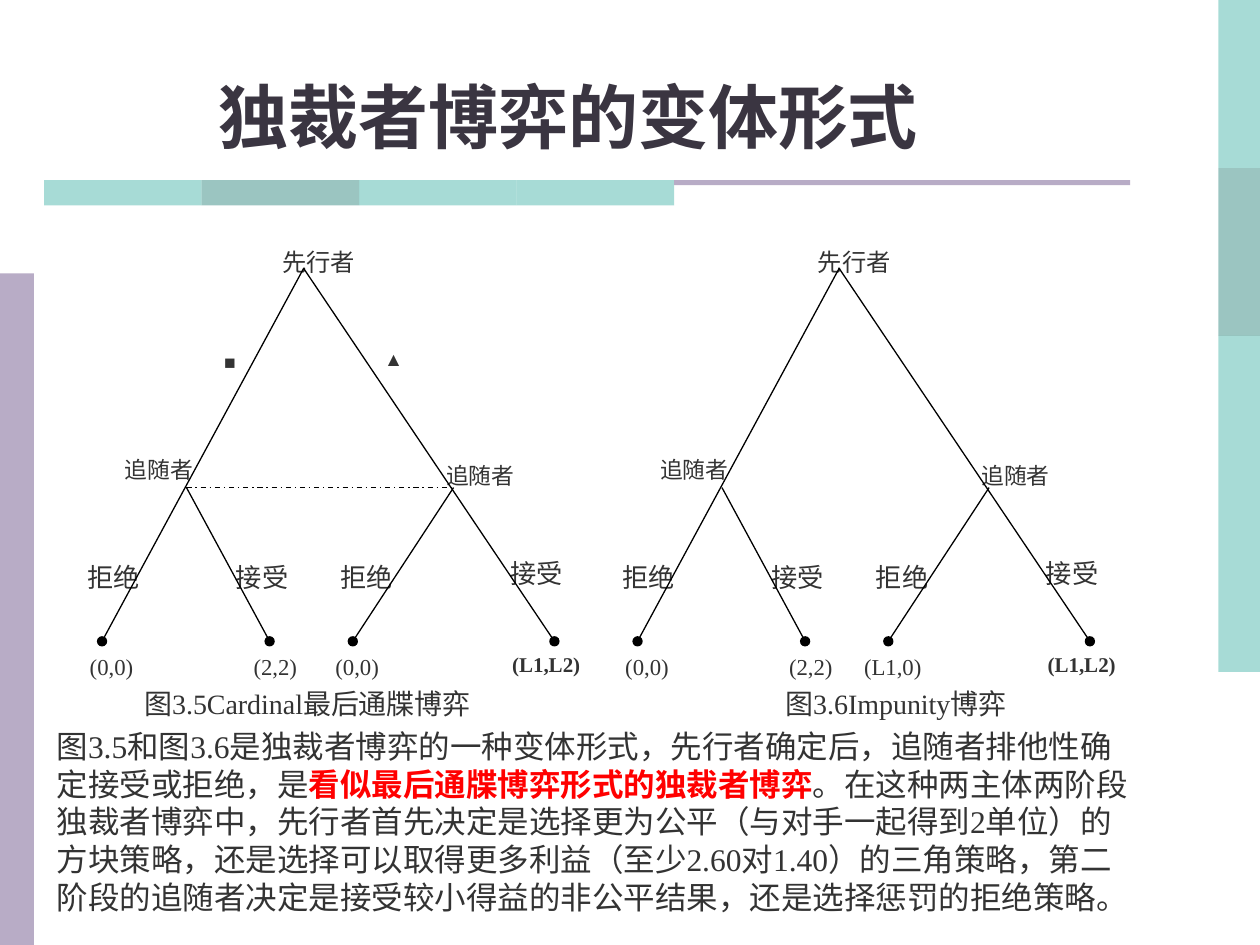
from lxml import etree
from pptx import Presentation
from pptx import util as u
from pptx.dml.color import RGBColor
from pptx.enum import dml, shapes, text
from pptx.oxml.ns import qn

Inches = u.Inches
FONT = "Times New Roman"
COLORS = {
    "teal": "51B9AF", "deep_teal": "398D85", "lilac": "B8ACC6",
    "title": "3A3541", "text": "333333", "accent": "FF0000",
    "line": "000000", "paper": "FFFFFF",
}
LEFT, CENTER = text.PP_ALIGN.LEFT, text.PP_ALIGN.CENTER
RIGHT, JUSTIFY = text.PP_ALIGN.RIGHT, text.PP_ALIGN.JUSTIFY
TOP, MIDDLE = text.MSO_ANCHOR.TOP, text.MSO_ANCHOR.MIDDLE


def rgb(name):
    return RGBColor.from_string(COLORS[name])


def style_run(r, size, color="text", bold=False):
    r.font.name = FONT
    r.font.size = u.Pt(size)
    r.font.bold = bold
    r.font.color.rgb = rgb(color)


def add_block(s, x, y, w, h, color, alpha=None):
    sp = s.shapes.add_shape(shapes.MSO_SHAPE.RECTANGLE,
                            Inches(x), Inches(y), Inches(w), Inches(h))
    sp.shadow.inherit = False
    sp.fill.solid()
    sp.fill.fore_color.rgb = rgb(color)
    sp.line.fill.background()
    if alpha:
        clr = sp.fill._xPr.find(qn("a:solidFill"))[0]
        etree.SubElement(clr, qn("a:alpha")).set("val", str(alpha * 1000))
    return sp


def add_text(s, x, y, w, h, runs, size, align=LEFT, anchor=TOP, wrap=True):
    tb = s.shapes.add_textbox(Inches(x), Inches(y), Inches(w), Inches(h))
    tf = tb.text_frame
    tf.word_wrap = wrap
    tf.vertical_anchor = anchor
    p = tf.paragraphs[0]
    p.alignment = align
    for words, color, bold in runs:
        r = p.add_run()
        r.text = words
        style_run(r, size, color, bold)


def add_label(s, x, y, w, h, words, size, align=CENTER, spacing=1.9, bold=False):
    sp = add_block(s, x, y, w, h, "paper")
    sp.line.color.rgb = rgb("paper")
    sp.line.width = u.Pt(0.75)
    tf = sp.text_frame
    tf.word_wrap = True
    tf.vertical_anchor = TOP
    tf.margin_left = tf.margin_right = tf.margin_top = tf.margin_bottom = 0
    p = tf.paragraphs[0]
    p.text = words
    p.alignment = align
    p.line_spacing = spacing
    style_run(p.runs[0], size, bold=bold)


def add_line(s, x1, y1, x2, y2, dash=None, dot=False):
    c = s.shapes.add_connector(shapes.MSO_CONNECTOR.STRAIGHT,
                               Inches(x1), Inches(y1), Inches(x2), Inches(y2))
    c.line.color.rgb = rgb("line")
    c.line.width = u.Pt(0.75)
    if dash:
        c.line.dash_style = dash
    if dot:
        etree.SubElement(c.line._get_or_add_ln(), qn("a:tailEnd")).set("type", "oval")
    etree.SubElement(c._element.spPr, qn("a:effectLst"))


def add_frame(s, w, h):
    side_w, side_h = 0.33, 4 / 3
    band = ["teal", "deep_teal", "teal", "teal"]
    for i, color in enumerate(band):
        add_block(s, w - side_w, i * side_h, side_w, side_h, color, 50)
        add_block(s, 0.35 + i * 1.25, 1.43, 1.25, 0.2, color, 50)
    add_block(s, 0, 2.17, 0.27, h - 2.17, "lilac")
    add_block(s, 5.35, 1.43, 3.62, 0.04, "lilac")


def add_title(s, x, y, w, h, words):
    t = s.shapes.title
    t.left, t.top, t.width, t.height = Inches(x), Inches(y), Inches(w), Inches(h)
    tf = t.text_frame
    tf.text = words
    tf.word_wrap = True
    tf.auto_size = text.MSO_AUTO_SIZE.NONE
    tf.vertical_anchor = text.MSO_ANCHOR.BOTTOM
    p = tf.paragraphs[0]
    p.alignment = CENTER
    style_run(p.runs[0], 40, "title", True)


def add_tree(s, x, y, third_payoff, caption):
    for dx, dy, w, words in [(2.01, 2.45, 0.7, "拒绝"), (3.36, 2.42, 0.7, "接受"),
                             (1.21, 2.45, 0.64, "接受"), (0.04, 2.45, 0.62, "拒绝")]:
        add_label(s, x + dx, y + dy, w, 0.53, words, 15)
    add_label(s, x + 3.51, y + 3.23, 0.55, 0.36, "(L1,L2)", 12, spacing=1.8, bold=True)
    add_label(s, x + 2.99, y + 1.69, 0.93, 0.42, "追随者", 13, JUSTIFY)
    add_label(s, x + 0.13, y + 1.64, 0.85, 0.42, "追随者", 13, RIGHT)
    for dx, words in [(1.95, third_payoff), (1.3, "(2,2)"), (0, "(0,0)")]:
        add_label(s, x + dx, y + 3.23, 0.67, 0.39, words, 13, spacing=1.8)
    add_label(s, x + 1.51, y, 0.94, 0.42, "先行者", 13.9, spacing=1.8)

    root, left, right = (1.86, 0.35), (0.93, 2.09), (3.05, 2.09)
    for (x1, y1), x2 in [(root, 0.26), (root, 3.85), (left, 1.59), (right, 2.25)]:
        add_line(s, x + x1, y + y1, x + x2, y + 3.31, dot=True)
    add_text(s, x + caption[0], y + 3.62, 3.12, 0.37,
             [(caption[1], "text", False)], 16, CENTER, MIDDLE)


def add_information_set(s, x, y):
    add_line(s, x + 0.93, y + 2.09, x + 3.05, y + 2.09, dml.MSO_LINE.DASH_DOT)
    for dx, dy, w, mark in [(2.4, 0.93, 0.35, "▲"), (1.13, 0.95, 0.29, "■")]:
        add_text(s, x + dx, y + dy, w, 0.29, [(mark, "text", False)], 11, wrap=False)


def main():
    prs = Presentation()
    prs.slide_width, prs.slide_height = Inches(10), Inches(7.5)
    s = prs.slides.add_slide(prs.slide_layouts[5])
    add_frame(s, 10, 7.5)
    add_title(s, 0, 0.44, 9.02, 0.86, "独裁者博弈的变体形式")
    add_tree(s, 0.55, 1.78, "(0,0)", (0.33, "图3.5Cardinal最后通牒博弈"))
    add_information_set(s, 0.55, 1.78)
    add_tree(s, 4.8, 1.78, "(L1,0)", (0.75, "图3.6Impunity博弈"))
    add_text(s, 0.35, 5.72, 8.82, 1.6, [
        ("图3.5和图3.6是独裁者博弈的一种变体形式，先行者确定后，"
         "追随者排他性确定接受或拒绝，是", "text", False),
        ("看似最后通牒博弈形式的独裁者博弈", "accent", True),
        ("。在这种两主体两阶段独裁者博弈中，先行者首先决定是选择更为公平"
         "（与对手一起得到2单位）的方块策略，还是选择可以取得更多利益"
         "（至少2.60对1.40）的三角策略，第二阶段的追随者决定是接受较小得益的"
         "非公平结果，还是选择惩罚的拒绝策略。", "text", False),
    ], 18)
    prs.save("out.pptx")


if __name__ == "__main__":
    main()
